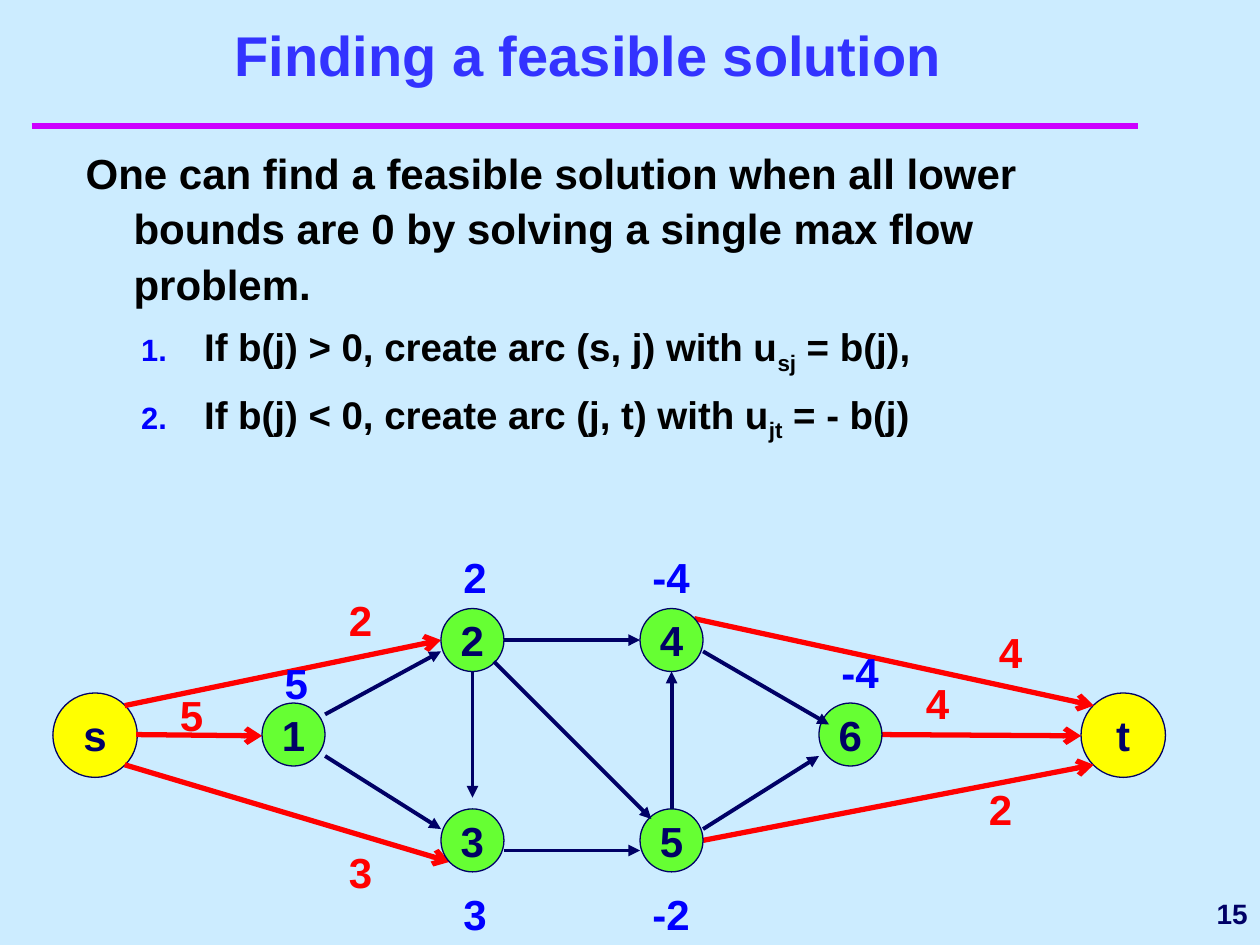
from lxml import etree
from pptx import Presentation
from pptx.dml.color import RGBColor
from pptx.enum.shapes import MSO_CONNECTOR, MSO_SHAPE
from pptx.enum.text import MSO_ANCHOR, MSO_AUTO_SIZE, PP_ALIGN
from pptx.oxml.ns import qn
from pptx.util import Inches, Pt

STRAIGHT = MSO_CONNECTOR.STRAIGHT
ELLIPSE = MSO_SHAPE.OVAL
TOP, MIDDLE, BOTTOM = MSO_ANCHOR.TOP, MSO_ANCHOR.MIDDLE, MSO_ANCHOR.BOTTOM
LEFT, CENTER, RIGHT = PP_ALIGN.LEFT, PP_ALIGN.CENTER, PP_ALIGN.RIGHT
NO_AUTOFIT = MSO_AUTO_SIZE.NONE

NAVY, BLUE, RED, BLACK = "000066", "0000FF", "FF0000", "000000"
GREEN, YELLOW, MAGENTA = "66FF33", "FFFF00", "CC00FF"
TITLE_BLUE, BACKGROUND = "3333FF", "CCECFF"

NODE_SIZE, TERMINAL_SIZE = 0.5, 0.67
NODES = {"1": (2.08, 5.58), "2": (3.5, 4.83), "3": (3.5, 6.42),
         "4": (5.08, 4.83), "5": (5.08, 6.42), "6": (6.5, 5.58)}
TERMINALS = {"s": (0.42, 5.5), "t": (8.58, 5.5)}

NETWORK_ARCS = [
    (2.58, 5.67, 3.5, 5.17), (4, 5.08, 5.08, 5.08), (5.58, 5.17, 6.58, 5.75),
    (2.58, 6, 3.5, 6.58), (4, 6.75, 5.08, 6.75), (5.58, 6.58, 6.5, 6),
    (3.75, 5.33, 3.75, 6.33), (5.33, 6.42, 5.33, 5.33), (3.92, 5.25, 5.17, 6.5),
]
TERMINAL_ARCS = [
    (5.51, 4.91, 8.68, 5.6), (7, 5.83, 8.58, 5.84), (5.58, 6.67, 8.68, 6.07),
    (0.99, 5.6, 3.5, 5.08), (1.08, 5.83, 2.08, 5.84), (0.99, 6.07, 3.57, 6.84),
]
CAPACITIES = [("4", 7.83, 4.92), ("4", 7.25, 5.33), ("2", 7.75, 6.17),
              ("5", 1.33, 5.42), ("2", 2.67, 4.67), ("3", 2.67, 6.67)]
SUPPLIES = [("5", 2.16, 5.17), ("2", 3.58, 4.33), ("-4", 5.08, 4.33),
            ("-4", 6.58, 5.08), ("-2", 5.08, 7), ("3", 3.58, 7)]

INTRODUCTION = ("One can find a feasible solution when all lower bounds are 0 "
                "by solving a single max flow problem.")
STEPS = [("If b(j) > 0, create arc (s, j) with u", "sj", " = b(j),"),
         ("If b(j) < 0, create arc (j, t) with u", "jt", " = - b(j)")]


def color(value):
    return RGBColor.from_string(value)


class SlideBuilder:
    font_name = "Arial"
    text_size = 24

    def __init__(self, slide):
        self.slide = slide
        fill = slide.background.fill
        fill.solid()
        fill.fore_color.rgb = color(BACKGROUND)

    def style(self, paragraph, size, text_color, alignment=LEFT):
        paragraph.alignment = alignment
        font = paragraph.font
        font.name = self.font_name
        font.size = Pt(size)
        font.bold = True
        font.color.rgb = color(text_color)

    def place(self, shape, left, top, width, height, anchor):
        shape.left, shape.top = Inches(left), Inches(top)
        shape.width, shape.height = Inches(width), Inches(height)
        frame = shape.text_frame
        frame.auto_size = NO_AUTOFIT
        frame.word_wrap = True
        frame.vertical_anchor = anchor
        return frame

    def title(self, text):
        frame = self.place(self.slide.shapes.title, 0.42, 0.17, 8.5, 0.58, BOTTOM)
        frame.text = text
        self.style(frame.paragraphs[0], 32, TITLE_BLUE, CENTER)

    def bullet(self, paragraph, margin, indent, numbered):
        properties = paragraph._p.get_or_add_pPr()
        properties.set("marL", str(Inches(margin)))
        properties.set("indent", str(Inches(indent)))
        if not numbered:
            etree.SubElement(properties, qn("a:buNone"))
            return
        bullet_color = etree.SubElement(properties, qn("a:buClr"))
        etree.SubElement(bullet_color, qn("a:srgbClr"), val=BLUE)
        etree.SubElement(properties, qn("a:buSzPct"), val="80000")
        etree.SubElement(properties, qn("a:buAutoNum"), type="arabicPeriod")

    def body(self, introduction, steps):
        frame = self.place(self.slide.placeholders[1], 0.58, 1.08, 8.45, 2.5, TOP)
        paragraph = frame.paragraphs[0]
        paragraph.text = introduction
        self.bullet(paragraph, 0.38, -0.38, False)
        paragraph.line_spacing = 1.1
        paragraph.space_before = Pt(0)
        self.style(paragraph, 24, BLACK)
        for before, subscript, after in steps:
            paragraph = frame.add_paragraph()
            paragraph.level = 1
            self.bullet(paragraph, 0.94, -0.5, True)
            paragraph.line_spacing = 1.1
            paragraph.space_before = Pt(5.5)
            self.style(paragraph, 22, BLACK)
            for text in (before, subscript, after):
                run = paragraph.add_run()
                run.text = text
                if text == subscript:
                    run._r.get_or_add_rPr().set("baseline", "-25000")

    def line(self, ends, line_color, width, arrowhead=None):
        connector = self.slide.shapes.add_connector(STRAIGHT, *map(Inches, ends))
        connector.line.color.rgb = color(line_color)
        connector.line.width = Pt(width)
        if arrowhead:
            outline = connector.line._get_or_add_ln()
            etree.SubElement(outline, qn("a:tailEnd"), type=arrowhead)
        etree.SubElement(connector._element.spPr, qn("a:effectLst"))

    def node(self, name, position, size, fill_color):
        bounds = map(Inches, (*position, size, size))
        shape = self.slide.shapes.add_shape(ELLIPSE, *bounds)
        shape.shadow.inherit = False
        shape.fill.solid()
        shape.fill.fore_color.rgb = color(fill_color)
        shape.line.color.rgb = color(NAVY)
        shape.line.width = Pt(0.75)
        frame = shape.text_frame
        frame.word_wrap = False
        frame.vertical_anchor = MIDDLE
        frame.text = name
        self.style(frame.paragraphs[0], self.text_size, NAVY, CENTER)

    def label(self, text, left, top, text_color, width=0.58, size=text_size,
              anchor=TOP, alignment=LEFT):
        shape = self.slide.shapes.add_textbox(0, 0, 0, 0)
        frame = self.place(shape, left, top, width, 0.5, anchor)
        frame.text = text
        self.style(frame.paragraphs[0], size, text_color, alignment)


def main():
    presentation = Presentation()
    presentation.slide_width = Inches(10)
    presentation.slide_height = Inches(7.5)
    slide = presentation.slides.add_slide(presentation.slide_layouts[1])
    builder = SlideBuilder(slide)

    builder.line((0.25, 1, 9.03, 1), MAGENTA, 4)
    builder.title("Finding a feasible solution")
    builder.body(INTRODUCTION, STEPS)
    builder.label("15", 8.08, 7, NAVY, 1.92, 16, MIDDLE, RIGHT)

    for name, position in TERMINALS.items():
        builder.node(name, position, TERMINAL_SIZE, YELLOW)
    for ends in TERMINAL_ARCS:
        builder.line(ends, RED, 3, "arrow")
    for name, position in NODES.items():
        builder.node(name, position, NODE_SIZE, GREEN)
    for ends in NETWORK_ARCS:
        builder.line(ends, NAVY, 2.25, "triangle")
    for labels, text_color in ((CAPACITIES, RED), (SUPPLIES, BLUE)):
        for text, left, top in labels:
            builder.label(text, left, top, text_color)

    presentation.save("out.pptx")


if __name__ == "__main__":
    main()
